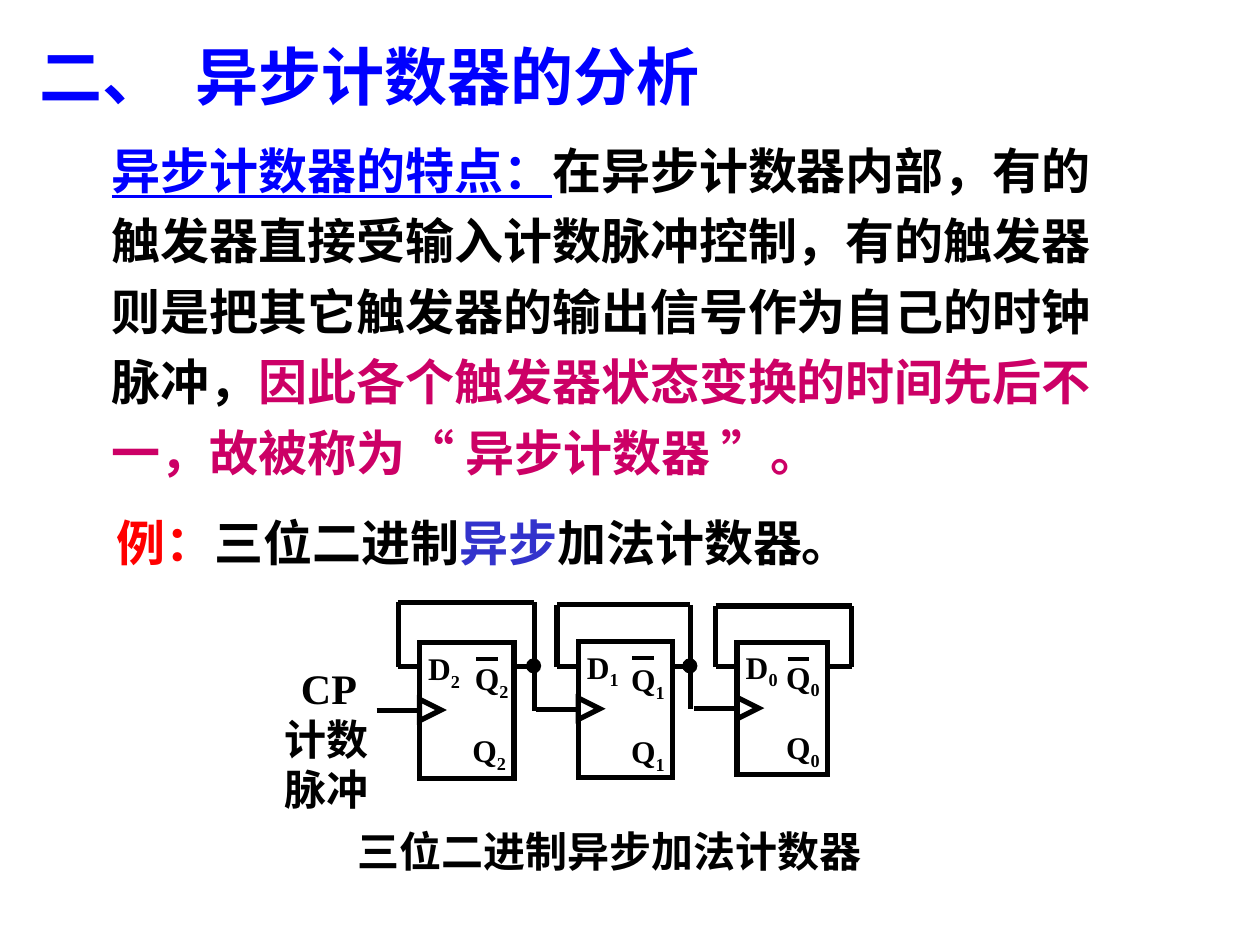
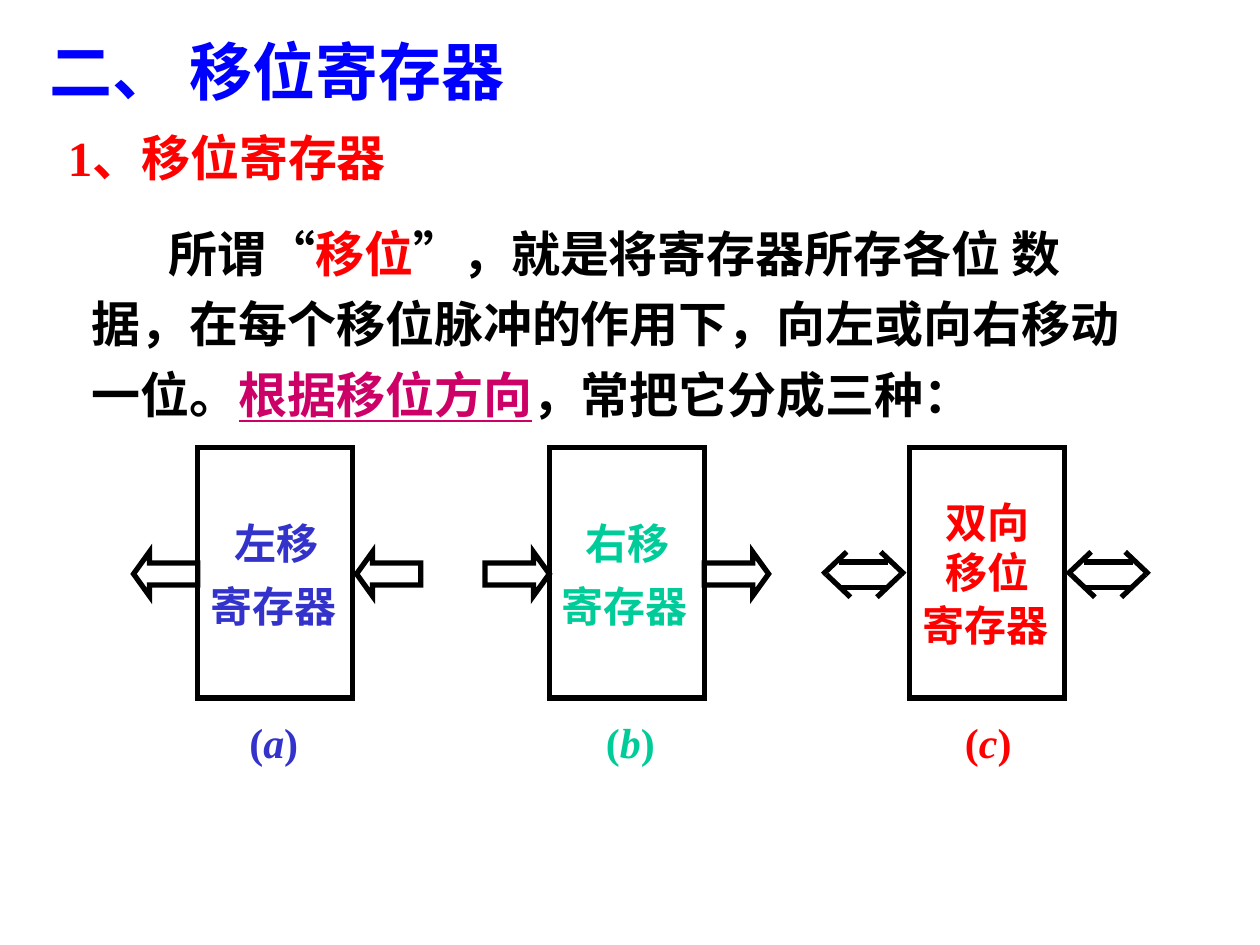
from dataclasses import dataclass
from lxml.etree import SubElement
from pptx import Presentation
from pptx.dml.color import RGBColor as Rgb
from pptx.enum.lang import MSO_LANGUAGE_ID as Lang
from pptx.enum.shapes import MSO_CONNECTOR as Link, MSO_SHAPE as Kind
from pptx.enum.text import MSO_ANCHOR as Anchor, MSO_AUTO_SIZE as Fit, PP_ALIGN as Align
from pptx.oxml.ns import qn
from pptx.util import Inches, Pt


@dataclass(frozen=True)
class Theme:
    """Colours, type sizes and line widths of the deck."""
    font: str = "Times New Roman"
    black: str = "000000"
    blue: str = "0000FF"
    navy: str = "3333CC"
    green: str = "00CC99"
    red: str = "FF0000"
    rose: str = "CC0066"
    head: int = 36
    body: int = 28
    label: int = 24
    pin: int = 18
    bold: float = 3
    bar: float = 2.25
    thin: float = 0.75


LOOK = Theme()


def inch(*sizes):
    """Turn plain numbers into lengths."""
    return [Inches(size) for size in sizes]


def style(thing, form):
    """Set each attribute named in a dict."""
    for name, value in form.items():
        setattr(thing, name, value)


def fill_text(shape, runs, size, **form):
    """Write runs of (text, colour, font format) into one paragraph."""
    style(shape.text_frame, {"word_wrap": True, "auto_size": Fit.NONE,
                             "vertical_anchor": Anchor.TOP})
    para = shape.text_frame.paragraphs[0]
    style(para, {"alignment": Align.LEFT, **form})
    para._p.get_or_add_pPr().set("hangingPunct", "0")
    for text, ink, *more in runs:
        run = para.add_run()
        run.text = text
        style(run.font, {"name": LOOK.font, "size": Pt(size), "bold": True,
                         "language_id": Lang.SIMPLIFIED_CHINESE,
                         **(more[0] if more else {})})
        run.font.color.rgb = Rgb.from_string(ink)
    return para


def write(slide, box, runs, size, **form):
    """Add a text box."""
    return fill_text(slide.shapes.add_textbox(*inch(*box)), runs, size, **form)


def draw(slide, kind, box, fill=None, width=LOOK.bold):
    """Add a black-lined preset shape with sharp corners."""
    shape = slide.shapes.add_shape(kind, *inch(*box))
    shape.shadow.inherit = False
    if fill:
        shape.fill.solid()
        shape.fill.fore_color.rgb = Rgb.from_string(fill)
    else:
        shape.fill.background()
    shape.line.color.rgb = Rgb.from_string(LOOK.black)
    shape.line.width = Pt(width)
    SubElement(shape._element.spPr.find(qn("a:ln")), qn("a:miter"), lim="800000")
    return shape


def wire(slide, *ends, width=LOOK.bold):
    """Add a straight black line."""
    line = slide.shapes.add_connector(Link.STRAIGHT, *inch(*ends))
    line.line.color.rgb = Rgb.from_string(LOOK.black)
    line.line.width = Pt(width)
    SubElement(line._element.spPr, qn("a:effectLst"))
    return line


def page(deck, title, box, tab=None):
    """Add a titled slide, with an optional tab stop in the title."""
    slide = deck.slides.add_slide(deck.slide_layouts[5])
    head = slide.shapes.title
    style(head, dict(zip(("left", "top", "width", "height"), inch(*box))))
    para = fill_text(head, [(title, LOOK.blue)], LOOK.head)
    if tab:
        stops = SubElement(para._p.get_or_add_pPr(), qn("a:tabLst"))
        SubElement(stops, qn("a:tab"), pos=str(Inches(tab)), algn="l")
    return slide


def pin(slide, x, y, name, bit):
    """Label a pin with its letter and a lowered bit number."""
    para = write(slide, (x, y, 0.55, 0.44),
                 [(name, LOOK.black), (bit, LOOK.black)], LOOK.pin)
    para.runs[1].font._element.set("baseline", "-25000")


def stage(slide, box, bit, roof, reach, pins):
    """Draw a flip-flop with its pins, clock input and feedback loop."""
    x, y, wide, high = box
    tap, mid, last = 5.29, y + high / 2, bit == "0"
    near, far = x - 0.17, x + reach
    body = draw(slide, Kind.RECTANGLE, box)
    notch = draw(slide, Kind.FLOWCHART_EXTRACT, (x, mid - 0.09, 0.17, 0.17))
    notch.rotation = 90
    for name, (dx, dy) in zip("DQQ", pins):
        pin(slide, x + dx, y + dy, name, bit)
    bar = x + pins[1][0] + 0.11
    wire(slide, bar, y + 0.13, bar + 0.17, y + 0.13, width=LOOK.bar)
    for ends in ((near, tap, x + 0.02, tap), (near, roof, near, tap),
                 (near, roof, far, roof), (x + wide, tap, far, tap),
                 (far, roof, far, tap if last else mid)):
        wire(slide, *ends)
    wire(slide, x - 0.34, mid, x, mid).end_connect(body, 1)
    if not last:
        draw(slide, Kind.OVAL, (far - 0.06, tap - 0.06, 0.11, 0.11),
             LOOK.black, LOOK.thin)


def circuit(slide, x, y):
    """Draw the three-stage counter with its input label and caption."""
    rows = (
        ("2", 0, 0.75, 1.08, 4.78, 0.91, ((-0.03, 0), (0.34, 0.08), (0.32, 0.65))),
        ("1", -0.01, 0.75, 1.08, 4.8, 0.89, ((-0.03, 0), (0.32, 0.1), (0.32, 0.67))),
        ("0", 0, 0.72, 1.05, 4.81, 0.91, ((-0.03, -0.01), (0.29, 0.07), (0.29, 0.63))))
    for step, (bit, dy, wide, high, *rest) in enumerate(rows):
        stage(slide, (x + 1.26 * step, y + dy, wide, high), bit, *rest)
    for text, dx, dy, wide, high in (
            ("CP", -1.04, 0.11, 0.88, 0.5), ("计数脉冲", -1.17, 0.51, 1.04, 0.9),
            ("三位二进制异步加法计数器", -0.59, 1.4, 4.42, 0.5)):
        write(slide, (x + dx, y + dy, wide, high), [(text, LOOK.black)], LOOK.label)


def counter(deck):
    """Build the slide on asynchronous counters."""
    slide = page(deck, "二、\t异步计数器的分析", (0.21, 0.25, 6.77, 0.7), 1.24)
    write(slide, (0.79, 0.97, 8.11, 2.9), [
        ("异步计数器的特点：", LOOK.blue, {"underline": True}),
        ("在异步计数器内部，有的触发器直接受输入计数脉冲控制，有的触发器则是"
         "把其它触发器的输出信号作为自己的时钟脉冲，", LOOK.black),
        ("因此各个触发器状态变换的时间先后不一，故被称为“ 异步计数器 ”。", LOOK.rose),
    ], LOOK.body, line_spacing=1.2)
    write(slide, (0.83, 4.02, 7.64, 0.57), [
        ("例：", LOOK.red), ("三位二进制", LOOK.black),
        ("异步", LOOK.navy), ("加法计数器。", LOOK.black)], LOOK.body)
    circuit(slide, 3.33, 5.1)


def arrow(slide, kind, x, y):
    """Draw a one-way block arrow."""
    shape = draw(slide, kind, (x, y, 0.51, 0.35))
    for place, value in enumerate((0.5, 0.36)):
        shape.adjustments[place] = value


def both(slide, kind, x, y):
    """Draw a two-way arrow from six lines."""
    for x1, y1, x2, y2 in ((0.13, 0.08, 0.52, 0.08), (0.13, 0.28, 0.52, 0.28),
                           (0.19, 0, 0, 0.18), (0.03, 0.18, 0.22, 0.36),
                           (0.46, 0, 0.65, 0.18), (0.62, 0.18, 0.43, 0.36)):
        wire(slide, x + x1, y + y1, x + x2, y + y2)


def cell(slide, box, ink, words, mark, inset, shape, kind, gaps):
    """Draw a register with its name, letter and side arrows."""
    x, y, wide, high = box
    for gap in gaps:
        shape(slide, kind, x + gap, y + 0.83)
    draw(slide, Kind.RECTANGLE, box)
    for word, dy in words:
        dx, room = (0, 1.28) if len(word) == 3 else (0.19, 1.04)
        write(slide, (x + dx, y + dy, room, 0.5), [(word, ink)], LOOK.label)
    write(slide, (x + inset, y + high + 0.1, 0.79, 0.5),
          [("(", ink), (mark, ink, {"italic": True}), (")", ink)], LOOK.label)


def shift(deck):
    """Build the slide on shift registers."""
    slide = page(deck, "二、 移位寄存器", (0.29, 0.21, 5.7, 0.7))
    write(slide, (0.44, 0.96, 4.81, 0.57), [("1、移位寄存器", LOOK.red)], LOOK.body)
    para = write(slide, (0.63, 1.63, 8.43, 1.78), [
        ("所谓“", LOOK.black), ("移位", LOOK.red),
        ("”，就是将寄存器所存各位 数据，在每个移位脉冲的作用下，"
         "向左或向右移动一位。", LOOK.black),
        ("根据移位方向", LOOK.rose, {"underline": True}),
        ("，常把它分成三种：", LOOK.black)], LOOK.body, line_spacing=1.2)
    para._p.get_or_add_pPr().set("indent", str(Inches(0.61)))
    rows = (
        (1.57, LOOK.navy, (("左移", 0.51), ("寄存器", 1.01)), "a", 0.31,
         arrow, Kind.LEFT_ARROW, (-0.51, 1.26)),
        (4.36, LOOK.green, (("右移", 0.51), ("寄存器", 1.01)), "b", 0.35,
         arrow, Kind.RIGHT_ARROW, (-0.51, 1.23)),
        (7.22, LOOK.red, (("双向", 0.34), ("移位", 0.74), ("寄存器", 1.16)), "c", 0.34,
         both, None, (-0.69, 1.25)))
    for x, *rest in rows:
        cell(slide, (x, 3.55, 1.23, 1.99), *rest)


def main():
    """Build and save the deck."""
    deck = Presentation()
    style(deck, {"slide_width": Inches(10), "slide_height": Inches(7.5)})
    counter(deck)
    shift(deck)
    deck.save("out.pptx")


if __name__ == "__main__":
    main()
